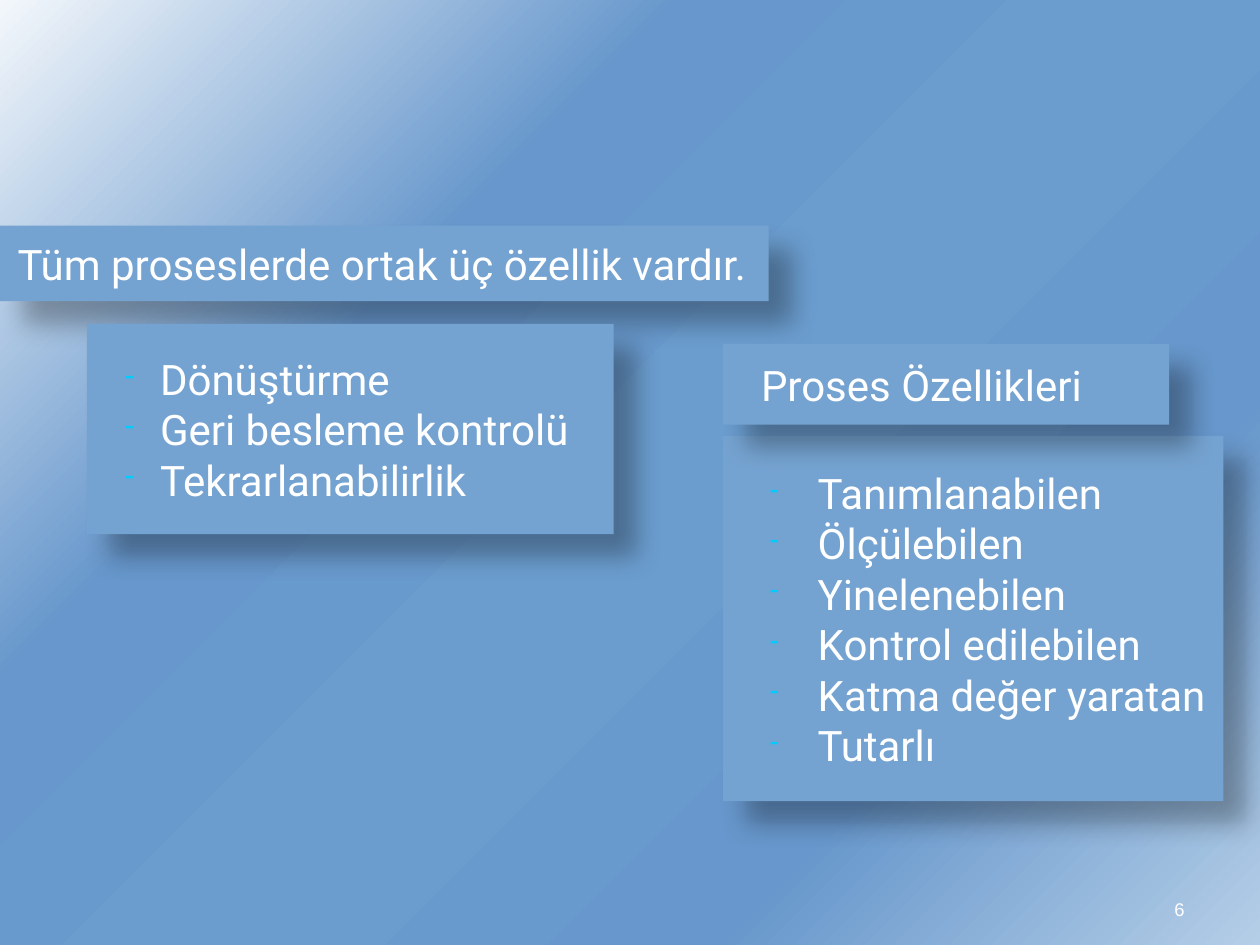
from dataclasses import dataclass

from lxml import etree
from pptx import Presentation
from pptx.dml.color import RGBColor
from pptx.enum.shapes import MSO_SHAPE
from pptx.enum.text import MSO_ANCHOR, MSO_AUTO_SIZE, PP_ALIGN
from pptx.oxml.ns import qn
from pptx.util import Inches, Pt

RECTANGLE = MSO_SHAPE.RECTANGLE
MIDDLE, BOTTOM = MSO_ANCHOR.MIDDLE, MSO_ANCHOR.BOTTOM
LEFT, RIGHT = PP_ALIGN.LEFT, PP_ALIGN.RIGHT
NO_AUTOFIT = MSO_AUTO_SIZE.NONE


@dataclass(frozen=True)
class Theme:
    panel: str = "75A3D1"
    text: str = "FFFFFF"
    bullet: str = "00CCFF"
    shadow: str = "000000"
    backdrop: tuple = (
        (0, "F3F7FB"), (31, "6797CC"), (53, "6B9DCF"), (75, "6797CC"), (100, "B5CEE7"),
    )
    font: str = "Roboto"
    number_font: str = "Arial"
    text_size: float = 24
    number_size: float = 10.5


THEME = Theme()


def add_element(parent, tag, **attributes):
    values = {name: str(value) for name, value in attributes.items()}
    return etree.SubElement(parent, qn(tag), values)


def paint_background(slide):
    fill = slide.background.fill
    fill.gradient()
    fill.gradient_angle = 315
    stops = slide.element.find(".//" + qn("a:gsLst"))
    for stop in list(stops):
        stops.remove(stop)
    for position, color in THEME.backdrop:
        stop = add_element(stops, "a:gs", pos=position * 1000)
        add_element(stop, "a:srgbClr", val=color)


def add_shadow(shape):
    shape.shadow.inherit = False
    effects = shape.element.spPr.find(qn("a:effectLst"))
    shadow = add_element(effects, "a:outerShdw", blurRad=Pt(15), dist=Pt(18),
                         dir=45 * 60000, algn="ctr", rotWithShape=0)
    color = add_element(shadow, "a:srgbClr", val=THEME.shadow)
    add_element(color, "a:alpha", val=30000)


def indent_paragraph(paragraph, margin, hanging, bulleted):
    properties = paragraph._p.get_or_add_pPr()
    properties.set("marL", str(Inches(margin)))
    properties.set("indent", str(Inches(-hanging)))
    if bulleted:
        bullet_color = add_element(properties, "a:buClr")
        add_element(bullet_color, "a:srgbClr", val=THEME.bullet)
        add_element(properties, "a:buSzPct", val=65000)
        add_element(properties, "a:buChar", char="-")


def format_runs(paragraph, font_name, size):
    for run in paragraph.runs:
        run.font.name = font_name
        run.font.size = Pt(size)
        run.font.color.rgb = RGBColor.from_string(THEME.text)


def fill_panel(shape, box, lines, margin, hanging=0, bulleted=False):
    shape.left, shape.top, shape.width, shape.height = map(Inches, box)
    shape.fill.solid()
    shape.fill.fore_color.rgb = RGBColor.from_string(THEME.panel)
    shape.line.fill.background()
    add_shadow(shape)
    frame = shape.text_frame
    frame.text = "\n".join(lines)
    frame.word_wrap = True
    frame.auto_size = NO_AUTOFIT
    frame.vertical_anchor = MIDDLE
    frame.margin_left = frame.margin_right = Inches(0.07)
    frame.margin_top = frame.margin_bottom = Inches(0.04)
    for paragraph in frame.paragraphs:
        paragraph.alignment = LEFT
        indent_paragraph(paragraph, margin, hanging, bulleted)
        format_runs(paragraph, THEME.font, THEME.text_size)


def add_panel(slide, box, lines, margin, hanging=0, bulleted=False):
    shape = slide.shapes.add_shape(RECTANGLE, *map(Inches, box))
    fill_panel(shape, box, lines, margin, hanging, bulleted)


def add_process_properties(slide, box):
    left, top, width, height = box
    heading_height = 0.64
    list_offset = 0.73
    list_box = (left, top + list_offset, width, height - list_offset)
    add_panel(slide, list_box, [
        "Tanımlanabilen", "Ölçülebilen", "Yinelenebilen",
        "Kontrol edilebilen", "Katma değer yaratan", "Tutarlı",
    ], margin=0.68, hanging=0.38, bulleted=True)
    heading_box = (left, top, width - 0.43, heading_height)
    add_panel(slide, heading_box, ["Proses Özellikleri"], margin=0.23)


def add_page_number(slide, box, number):
    frame = slide.shapes.add_textbox(*map(Inches, box)).text_frame
    frame.text = str(number)
    frame.word_wrap = True
    frame.vertical_anchor = BOTTOM
    paragraph = frame.paragraphs[0]
    paragraph.alignment = RIGHT
    format_runs(paragraph, THEME.number_font, THEME.number_size)


def main():
    presentation = Presentation()
    presentation.slide_width = Inches(10)
    presentation.slide_height = Inches(7.5)
    slide = presentation.slides.add_slide(presentation.slide_layouts[5])
    paint_background(slide)
    fill_panel(slide.shapes.title, (0, 1.79, 6.1, 0.6),
               ["Tüm proseslerde ortak üç özellik vardır."], margin=0.07)
    add_panel(slide, (0.69, 2.57, 4.18, 1.67),
              ["Dönüştürme", "Geri besleme kontrolü", "Tekrarlanabilirlik"],
              margin=0.51, hanging=0.28, bulleted=True)
    add_process_properties(slide, (5.74, 2.73, 3.97, 3.63))
    add_page_number(slide, (7.17, 6.83, 2.33, 0.52), 6)
    presentation.save("out.pptx")


if __name__ == "__main__":
    main()
